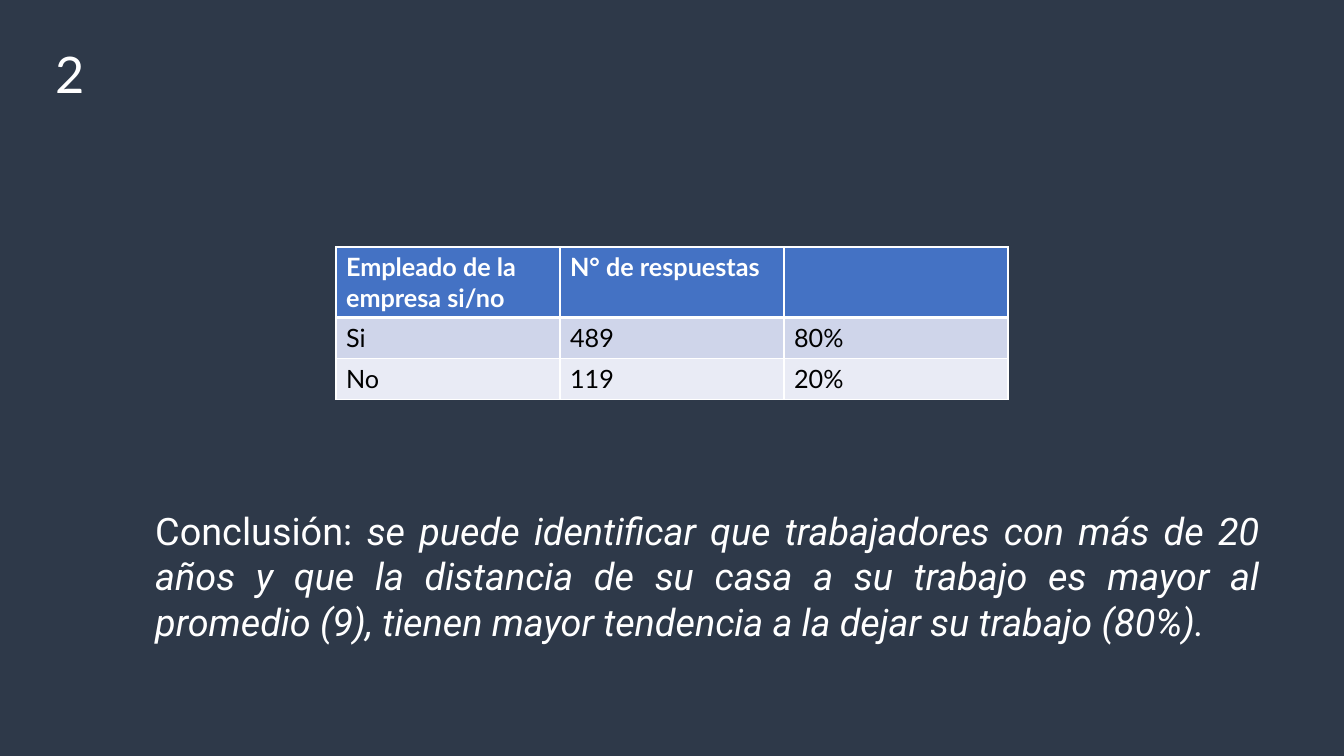
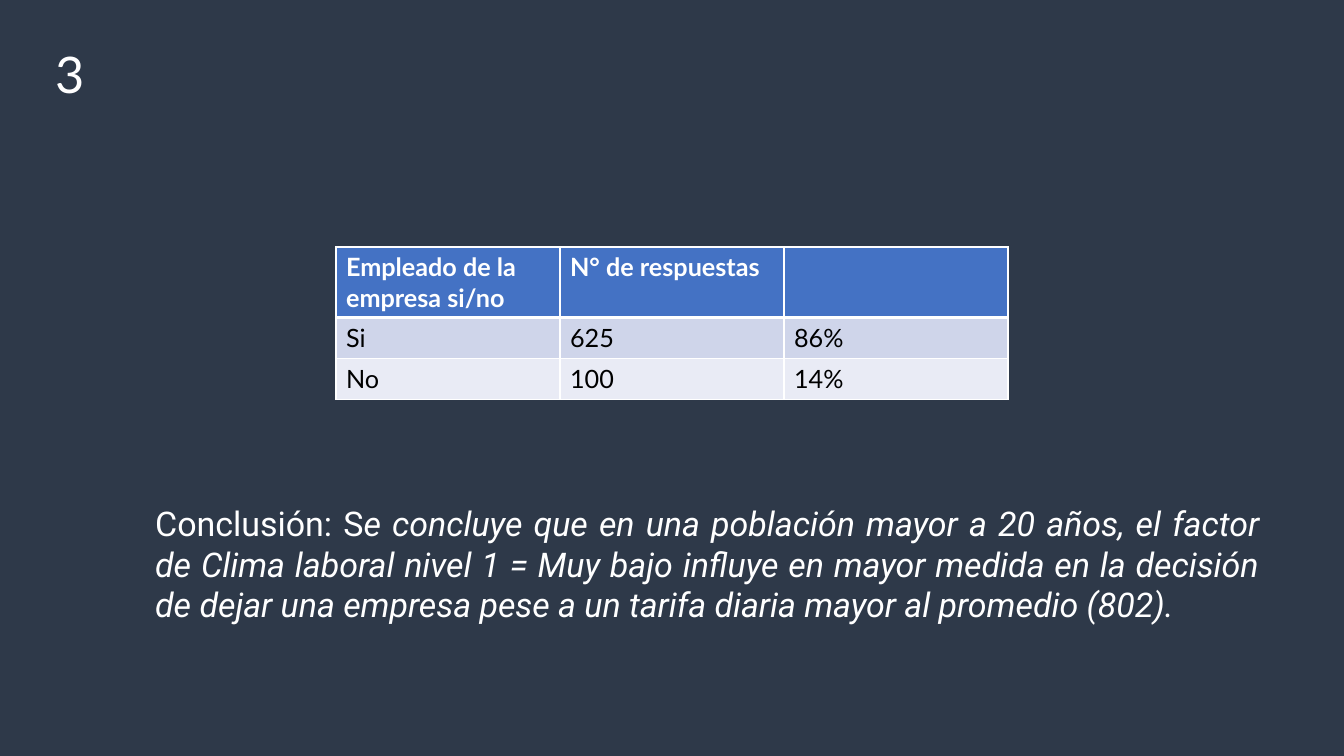
from dataclasses import dataclass

from lxml.etree import SubElement
from pptx import Presentation
from pptx.dml.color import RGBColor
from pptx.enum.text import PP_ALIGN
from pptx.oxml.ns import qn
from pptx.util import Pt


@dataclass(frozen=True)
class Theme:
    back: str = "2E3949"
    light: str = "FFFFFF"
    dark: str = "000000"
    head: str = "4472C4"
    bands: tuple = ("CFD5EA", "E9EBF5")
    sans: str = "Lato"
    body: str = "Roboto"
    mark: float = 36
    cell: float = 18


THEME = Theme()
HEADS = ("Empleado de la empresa si/no", "N° de respuestas", "")
SLIDES = [
    {
        "mark": "2",
        "rows": [("Si", "489", "80%"), ("No", "119", "20%")],
        "size": 27,
        "lead": "Conclusión: ",
        "claim": "se puede identificar que trabajadores con más de 20 años y que "
                 "la distancia de su casa a su trabajo es mayor al promedio (9), "
                 "tienen mayor tendencia a la dejar su trabajo (80%).",
    },
    {
        "mark": "3",
        "rows": [("Si", "625", "86%"), ("No", "100", "14%")],
        "size": 24.3,
        "lead": "Conclusión: S",
        "claim": "e concluye que en una población mayor a 20 años, el factor de "
                 "Clima laboral nivel 1 = Muy bajo influye en mayor medida en la "
                 "decisión de dejar una empresa pese a un tarifa diaria mayor al "
                 "promedio (802).",
    },
]


def add_run(para, text, color, **style):
    run = para.add_run()
    run.text = text
    for name, value in style.items():
        setattr(run.font, name, value)
    run.font.color.rgb = RGBColor.from_string(color)


def add_text(slide, box, margins=None):
    """Add a wrapping text box and return its first paragraph."""
    frame = slide.shapes.add_textbox(*map(Pt, box)).text_frame
    frame.word_wrap = True
    for name, value in (margins or {}).items():
        setattr(frame, name, Pt(value))
    return frame.paragraphs[0]


def add_mark(slide, text):
    para = add_text(slide, (32.4, 27.4, 93.6, 51))
    add_run(para, text, THEME.light, name=THEME.sans, size=Pt(THEME.mark))


def add_claim(slide, lead, claim, size):
    """Set the conclusion; its drop below the top guide grows with its size."""
    drop = 1.43 * size
    sides = ("left", "top", "right", "bottom")
    para = add_text(slide, (110.9, 324 + drop, 789.1, 141 - drop),
                    {f"margin_{side}": 0 for side in sides})
    para.alignment = PP_ALIGN.JUSTIFY
    font = {"name": THEME.body, "size": Pt(size)}
    add_run(para, lead, THEME.light, **font)
    add_run(para, claim, THEME.light, italic=True, **font)


def set_edges(cell, widths):
    """Draw cell borders; the lines must come before the fill in the XML."""
    props = cell._tc.get_or_add_tcPr()
    for side, width in widths.items():
        line = SubElement(props, qn(f"a:ln{side}"), w=str(Pt(width)))
        fill = SubElement(line, qn("a:solidFill"))
        SubElement(fill, qn("a:srgbClr"), val=THEME.light)


def add_grid(slide, rows):
    data = [HEADS, *rows]
    heights = [50.4] + [29.2] * len(rows)
    shape = slide.shapes.add_table(
        len(data), len(HEADS), Pt(240), Pt(176.4), Pt(480), Pt(sum(heights)))
    table = shape.table
    for r, texts in enumerate(data):
        table.rows[r].height = Pt(heights[r])
        top = r == 0
        fill = THEME.head if top else THEME.bands[(r - 1) % 2]
        color = THEME.light if top else THEME.dark
        edges = {"L": 1, "R": 1, "T": 3 if r == 1 else 1, "B": 3 if top else 1}
        for c, text in enumerate(texts):
            cell = table.cell(r, c)
            set_edges(cell, edges)
            cell.fill.solid()
            cell.fill.fore_color.rgb = RGBColor.from_string(fill)
            if text:
                add_run(cell.text_frame.paragraphs[0], text, color,
                        name=THEME.sans, size=Pt(THEME.cell), bold=top)


def add_page(deck):
    slide = deck.slides.add_slide(deck.slide_layouts[6])
    fill = slide.background.fill
    fill.solid()
    fill.fore_color.rgb = RGBColor.from_string(THEME.back)
    return slide


def main():
    deck = Presentation()
    deck.slide_width, deck.slide_height = Pt(960), Pt(540)
    for item in SLIDES:
        slide = add_page(deck)
        add_claim(slide, item["lead"], item["claim"], item["size"])
        add_mark(slide, item["mark"])
        add_grid(slide, item["rows"])
    deck.save("out.pptx")


if __name__ == "__main__":
    main()
